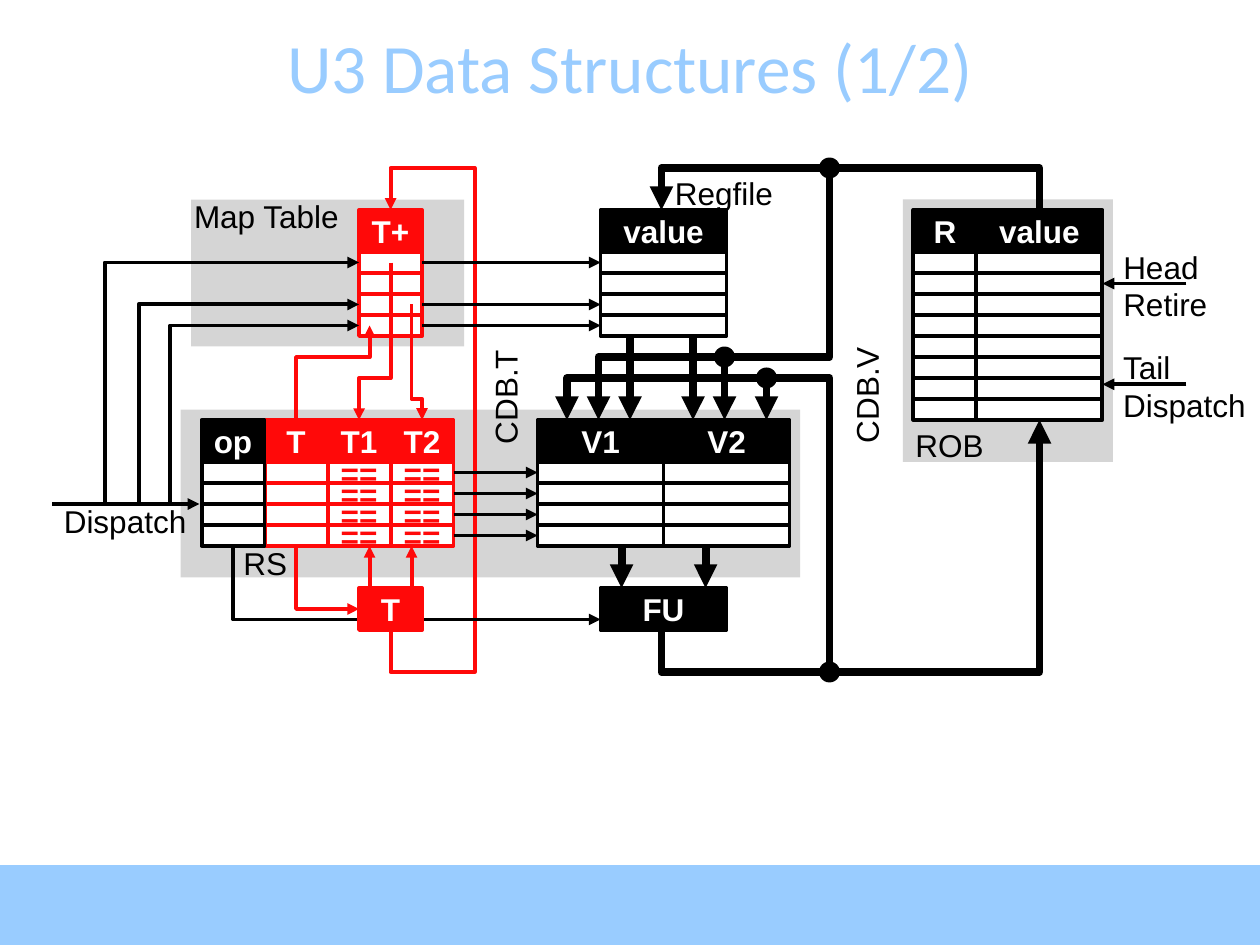
import pptx
import pptx.util
import pptx.dml.color
import pptx.enum.shapes
import pptx.enum.text
import pptx.oxml.ns
import lxml.etree

COLORS = {"black": "000000", "white": "FFFFFF", "red": "FF0909", "gray": "D5D5D5", "sky": "99CCFF"}
UNIT = pptx.util.Inches(1) // 12
COLS, ROWS = 120, 90
CELL, HEADER = 2, 4
THIN, THICK = 2.25, 4.5
SHAPE = pptx.enum.shapes.MSO_SHAPE
ALIGN = pptx.enum.text.PP_ALIGN
ANCHOR = pptx.enum.text.MSO_ANCHOR
LEFT, RIGHT = 1, 3


def rgb(name):
    """Return the named colour."""
    return pptx.dml.color.RGBColor.from_string(COLORS[name])


def grid(*values):
    """Turn grid units into lengths."""
    return [pptx.util.Emu(round(v * UNIT)) for v in values]


def write(p, text, color, size=18, font="Arial", bold=False):
    """Add one formatted run to a paragraph."""
    r = p.add_run()
    r.text = text
    r.font.size, r.font.name, r.font.bold = pptx.util.Pt(size), font, bold
    r.font.color.rgb = rgb(color)


def block(s, x, y, w, h, fill, line=None, text="", ink="white", kind=SHAPE.RECTANGLE):
    """Add a filled shape with optional outline and centred bold text."""
    sp = s.shapes.add_shape(kind, *grid(x, y, w, h))
    sp.shadow.inherit = False
    sp.fill.solid()
    sp.fill.fore_color.rgb = rgb(fill)
    if line:
        sp.line.color.rgb = rgb(line)
        sp.line.width = pptx.util.Pt(THIN)
    else:
        sp.line.fill.background()
    if text:
        tf = sp.text_frame
        tf.word_wrap, tf.vertical_anchor = False, ANCHOR.MIDDLE
        tf.paragraphs[0].alignment = ALIGN.CENTER
        write(tf.paragraphs[0], text, ink, bold=True)
    return sp


def label(s, x, y, w, *lines, rotation=0):
    """Add a plain label with one paragraph for each line."""
    sp = s.shapes.add_textbox(*grid(x, y, w, 1.2 + 3.6 * len(lines)))
    sp.rotation = rotation
    tf = sp.text_frame
    tf.word_wrap = False
    tf.auto_size = pptx.enum.text.MSO_AUTO_SIZE.SHAPE_TO_FIT_TEXT
    for i, line in enumerate(lines):
        p = tf.add_paragraph() if i else tf.paragraphs[0]
        write(p, line, "black")


def column(s, x, y, w, n, title, color="black", mark=""):
    """Stack a header and n cells, and return the cells."""
    block(s, x, y, w, HEADER, color, color, title)
    return [block(s, x, y + HEADER + i * CELL, w, CELL, "white", color, mark, color)
            for i in range(n)]


def route(s, box, points, color="black", width=THIN):
    """Draw an arrow through points measured from the corner of the box."""
    pts = [grid(box[0] + px, box[1] + py) for px, py in points]
    if len(pts) == 2:
        sp = s.shapes.add_connector(pptx.enum.shapes.MSO_CONNECTOR.STRAIGHT, *pts[0], *pts[1])
    else:
        fb = s.shapes.build_freeform(*pts[0], scale=1.0)
        fb.add_line_segments(pts[1:], close=False)
        sp = fb.convert_to_shape()
        sp.fill.background()
    sp.line.color.rgb = rgb(color)
    sp.line.width = pptx.util.Pt(width)
    qn = pptx.oxml.ns.qn
    lxml.etree.SubElement(sp.line._get_or_add_ln(), qn("a:tailEnd"), type="triangle")
    lxml.etree.SubElement(sp._element.spPr, qn("a:effectLst"))
    return sp


def join(s, sources, targets):
    """Link the right side of each source cell to its target's left side."""
    for a, b in zip(sources, targets):
        cn = route(s, (0, 0), [(0, 0), (1, 1)])
        cn.begin_connect(a, RIGHT)
        cn.end_connect(b, LEFT)


def heading(s, x, y, w, h):
    """Place the slide title."""
    sp = s.shapes.title
    sp.left, sp.top, sp.width, sp.height = grid(x, y, w, h)
    tf = sp.text_frame
    tf.vertical_anchor = ANCHOR.MIDDLE
    tf.paragraphs[0].alignment = ALIGN.CENTER
    write(tf.paragraphs[0], "U3 Data Structures (1/2)", "sky", 39.6, "Calibri")


def map_table(s, x, y, w, h):
    """Draw the map table and return its cells."""
    block(s, x, y, w, h, "gray")
    label(s, x - 0.9, y - 0.8, 16.6, "Map Table")
    return column(s, x + 16, y + 1, 6, 4, "T+", "red")


def regfile(s, x, y, w, h):
    """Draw the register file and return its cells."""
    label(s, x + 5.9, y - 4, 11.8, "Regfile")
    return column(s, x, y, w, (h - HEADER) // CELL, "value")


def stations(s, x, y, w, h):
    """Draw the reservation stations and return the T2 and V1 cells."""
    block(s, x, y, w, h, "gray")
    label(s, x + 4.8, y + 12.2, 6.6, "RS")
    tags = column(s, x + 20, y + 1, 6, 4, "T2", "red", "==")
    column(s, x + 14, y + 1, 6, 4, "T1", "red", "==")
    column(s, x + 8, y + 1, 6, 4, "T", "red")
    column(s, x + 2, y + 1, 6, 4, "op")
    values = column(s, x + 34, y + 1, 12, 4, "V1")
    column(s, x + 46, y + 1, 12, 4, "V2")
    return tags, values


def reorder_buffer(s, x, y, w, h):
    """Draw the reorder buffer with its head and tail pointers."""
    block(s, x, y, w, h, "gray")
    label(s, x, y + 21, 8.9, "ROB")
    column(s, x + 1, y + 1, 6, 8, "R")
    cells = column(s, x + 7, y + 1, 12, 8, "value")
    head = route(s, (x, y), [(27, 8), (19, 8)])
    head.end_connect(cells[1], RIGHT)
    route(s, (x, y), [(27, 17.6), (19, 17.6)])
    label(s, x + 19.8, y + 4, 10.4, "Head", "Retire")
    label(s, x + 19.8, y + 13.6, 14.2, "Tail", "Dispatch")


def dispatch(s, x, y, w, h):
    """Draw the dispatch line and its branches to the map table."""
    route(s, (x, y), [(0, h), (14, h)])
    for px, py in [(5, 0), (8.2, 4), (11.2, 6)]:
        route(s, (x, y), [(px, h), (px, py), (w, py)])
    label(s, x - 0.1, y + 22.2, 14.2, "Dispatch")


def tag_bus(s, x, y, w, h):
    """Draw the tag wires around the map table and the stations."""
    paths = [
        [(9, 44), (9, h), (w, h), (w, 0), (9, 0), (9, 4)],
        [(0, 36), (0, 42), (6, 42)],
        [(0, 24), (0, 18), (7, 18), (7, 15)],
        [(9, 9), (9, 20), (6, 20), (6, 24)],
        [(11, 13), (11, 22), (12, 22), (12, 24)],
    ] + [[(px, 40), (px, 36)] for px in (7, 11)]
    for points in paths:
        route(s, (x, y), points, "red")
    route(s, (x, y), [(-6, 36), (-6, 43), (29, 43)])
    label(s, x + 14.2, y + 19.4, 11.4, "CDB.T", rotation=270)


def value_bus(s, x, y, w, h):
    """Draw the thick value wires and their junctions."""
    paths = [
        [(19, 20), (0, 20), (0, 24)],
        [(w, 4), (w, 0), (9, 0), (9, 4)],
        [(25, h), (w, h), (w, 24)],
        [(25, 0), (25, 18), (3, 18), (3, 24)],
        [(9, 44), (9, h), (25, h), (25, 20), (19, 20), (19, 24)],
    ]
    drops = [(6, 16, 24), (12, 16, 24), (15, 18, 24), (5.2, 36, 40), (13.2, 36, 40)]
    paths += [[(px, top), (px, end)] for px, top, end in drops]
    for points in paths:
        route(s, (x, y), points, width=THICK)
    for px, py in [(19, 20), (25, h), (15, 18), (25, 0)]:
        block(s, x + px - 1, y + py - 1, 2, 2, "black", kind=SHAPE.FLOWCHART_CONNECTOR)
    label(s, x + 22.7, y + 19.2, 11.6, "CDB.V", rotation=270)


def units(s, x, y, w, h):
    """Draw the tag latch and the functional unit."""
    block(s, x, y, 6, h, "red", "red", "T")
    block(s, x + w - 12, y, 12, h, "black", "black", "FU")


def main():
    """Build and save the slide."""
    prs = pptx.Presentation()
    prs.slide_width, prs.slide_height = grid(COLS, ROWS)
    s = prs.slides.add_slide(prs.slide_layouts[5])
    block(s, 0, 82.4, COLS, 7.6, "sky")
    heading(s, 0, 2.5, COLS, 7.5)
    maps = map_table(s, 18.2, 19, 26, 14)
    registers = regfile(s, 57.2, 20, 12, 12)
    tags, values = stations(s, 17.2, 39, 59, 16)
    reorder_buffer(s, 86, 19, 20, 25)
    dispatch(s, 5, 25, 29.2, 23)
    tag_bus(s, 28.2, 16, 17, 48)
    join(s, maps[:1] + maps[2:], registers[:1] + registers[2:])
    join(s, tags, values)
    value_bus(s, 54, 16, 45, 48)
    units(s, 34.2, 56, 35, 4)
    prs.save("out.pptx")


if __name__ == "__main__":
    main()
